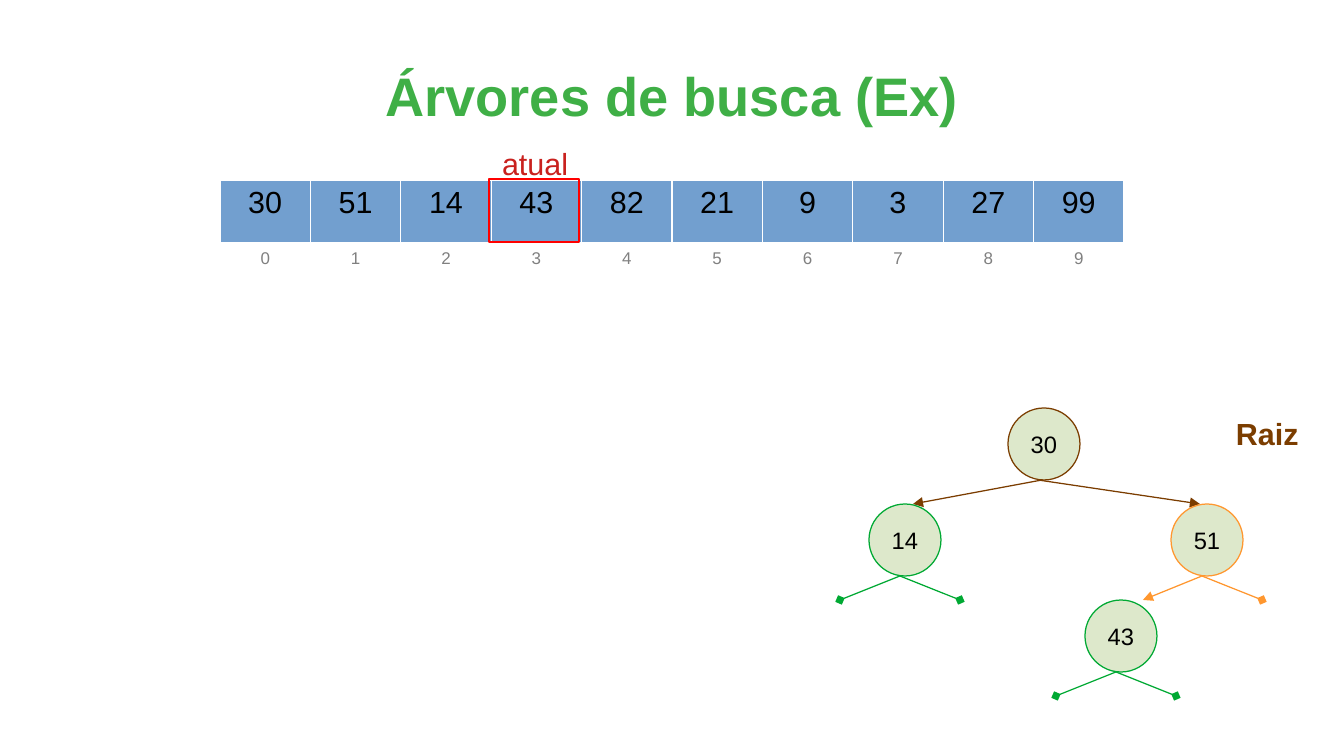
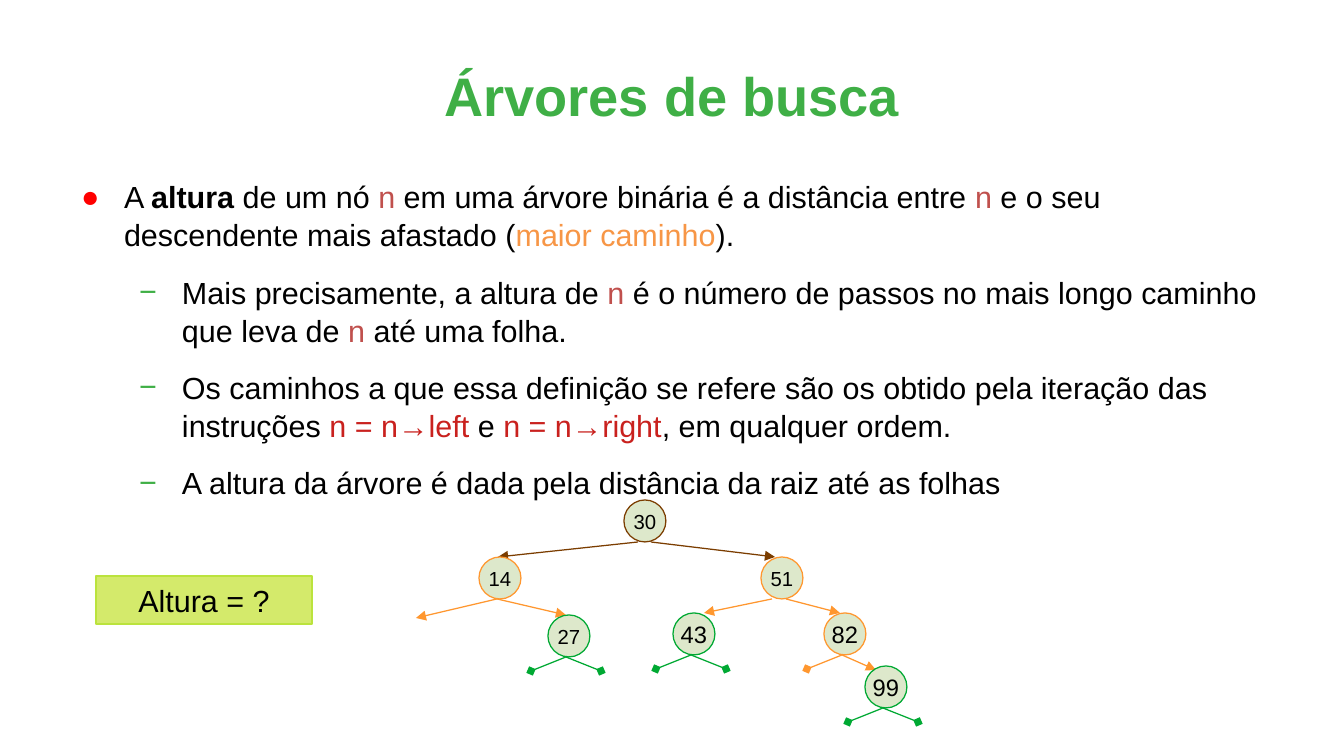
from dataclasses import dataclass

from lxml.etree import SubElement
from pptx import Presentation
from pptx.dml.color import RGBColor
from pptx.enum.shapes import MSO_CONNECTOR, MSO_SHAPE
from pptx.enum.text import MSO_ANCHOR, MSO_AUTO_SIZE, PP_ALIGN
from pptx.oxml.ns import qn
from pptx.util import Emu, Pt

PX_PER_INCH = 122
FONT = "Arial"
BLACK, WHITE, GREY = "000000", "FFFFFF", "808080"
TITLE_GREEN, NODE_FILL = "3FAF46", "DDE8CB"
BROWN, ORANGE, GREEN = "7B3D00", "FF972F", "00A933"
RED, CODE_RED, NODE_RED, PATH_ORANGE = "FF0000", "C9211E", "C0504D", "F79646"

VALUES = [30, 51, 14, 43, 82, 21, 9, 3, 27, 99]

# Each paragraph: level, then runs of (text, colour, bold)
HEIGHT_DEFINITION = [
    (0, [("A ", BLACK, False), ("altura", BLACK, True),
         (" de um nó ", BLACK, False), ("n", NODE_RED, False),
         (" em uma árvore binária é a distância entre ", BLACK, False),
         ("n ", NODE_RED, False),
         ("e o seu descendente mais afastado (", BLACK, False),
         ("maior caminho", PATH_ORANGE, False), (").", BLACK, False)]),
    (1, [("Mais precisamente, a altura de ", BLACK, False),
         ("n", NODE_RED, False),
         (" é o número de passos no mais longo caminho que leva de ", BLACK, False),
         ("n", NODE_RED, False), (" até uma folha.", BLACK, False)]),
    (1, [("Os caminhos a que essa definição se refere são os obtido pela "
          "iteração das instruções ", BLACK, False),
         ("n = n→left", CODE_RED, False), (" e ", BLACK, False),
         ("n = n→right", CODE_RED, False),
         (", em qualquer ordem.", BLACK, False)]),
    (1, [("A altura da árvore é dada pela distância da raiz até as folhas",
          BLACK, False)]),
]
# Each level: bullet, bullet colour, left margin, space before in points
LEVELS = [("●", RED, 57, 0), ("−", TITLE_GREEN, 115, 11.3)]
HANGING = 43


@dataclass
class Node:
    """A tree node; a side without an arrow tip ends in a short null stub."""
    label: str
    x: int
    y: int
    colour: str
    left: tuple = None
    right: tuple = None
    starts: tuple = (0, 0)
    size: int = 14


INSERTION_TREE = [
    Node("30", 1008, 408, BROWN, (913, 504), (1200, 504), (3, -1)),
    Node("51", 1171, 504, ORANGE, left=(1143, 600)),
    Node("14", 869, 504, GREEN),
    Node("43", 1085, 600, GREEN),
]
HEIGHT_TREE = [
    Node("30", 624, 500, BROWN, (498, 557), (775, 557), (-4, 9), 12),
    Node("51", 761, 557, ORANGE, (704, 613), (840, 613), (-7, 7), 12),
    Node("14", 479, 557, ORANGE, (416, 618), (566, 615), size=12),
    Node("43", 673, 613, GREEN),
    Node("82", 824, 613, ORANGE, right=(876, 670)),
    Node("27", 548, 615, GREEN, size=12),
    Node("99", 865, 666, GREEN),
]


def px(length):
    return Emu(round(length * 914400 / PX_PER_INCH))


def box(*lengths):
    return [px(length) for length in lengths]


def rgb(colour):
    return RGBColor.from_string(colour)


def style_font(font, size, colour, bold=False):
    font.name, font.size, font.bold = FONT, Pt(size), bold
    font.color.rgb = rgb(colour)


def set_frame(frame, anchor, side=0, top=0):
    """Fix the wrapping, anchor and insets of a text frame."""
    frame.auto_size = MSO_AUTO_SIZE.NONE
    frame.word_wrap = True
    frame.vertical_anchor = anchor
    frame.margin_left = frame.margin_right = px(side)
    frame.margin_top = frame.margin_bottom = px(top)


def write(frame, text, size, colour, align=PP_ALIGN.CENTER, bold=False):
    frame.text = text
    paragraph = frame.paragraphs[0]
    paragraph.alignment = align
    style_font(paragraph.runs[0].font, size, colour, bold)


def move(shape, x, y, width, height):
    shape.left, shape.top, shape.width, shape.height = box(x, y, width, height)


def add_slide(prs, layout, title):
    slide = prs.slides.add_slide(prs.slide_layouts[layout])
    heading = slide.shapes.title
    move(heading, 67, 31, 1210, 127)
    set_frame(heading.text_frame, MSO_ANCHOR.MIDDLE)
    write(heading.text_frame, title, 32, TITLE_GREEN, bold=True)
    return slide


def add_outline(slide, preset, bounds, line, fill=None, weight=0.75):
    shape = slide.shapes.add_shape(preset, *box(*bounds))
    shape.shadow.inherit = False
    if fill:
        shape.fill.solid()
        shape.fill.fore_color.rgb = rgb(fill)
    else:
        shape.fill.background()
    shape.line.color.rgb = rgb(line)
    shape.line.width = Pt(weight)
    return shape


def add_label(slide, text, bounds, colour, bold=False):
    label = slide.shapes.add_textbox(*box(*bounds))
    set_frame(label.text_frame, MSO_ANCHOR.TOP, 12, 6)
    write(label.text_frame, text, 18, colour, PP_ALIGN.LEFT, bold)


def add_branch(slide, start, end, colour, tip):
    branch = slide.shapes.add_connector(MSO_CONNECTOR.STRAIGHT, *box(*start, *end))
    branch.line.color.rgb = rgb(colour)
    branch.line.width = Pt(0.75)
    properties = branch.line._get_or_add_ln()
    SubElement(properties, qn("a:tailEnd"), type=tip)
    SubElement(properties.getparent(), qn("a:effectLst"))


def add_tree(slide, nodes, diameter):
    for node in nodes:
        circle = add_outline(slide, MSO_SHAPE.OVAL,
                             (node.x, node.y, diameter, diameter),
                             node.colour, NODE_FILL)
        set_frame(circle.text_frame, MSO_ANCHOR.MIDDLE)
        write(circle.text_frame, node.label, node.size, BLACK)
        fork = node.x + round(diameter * 0.43)
        bottom = node.y + diameter
        for side, target, shift in zip((-1, 1), (node.left, node.right), node.starts):
            stub = (fork + side * diameter * 5 // 6, bottom + diameter // 3)
            add_branch(slide, (fork + shift, bottom), target or stub, node.colour,
                       "triangle" if target else "diamond")


def style_cell(cell, text, size, colour, fill):
    properties = cell._tc.get_or_add_tcPr()
    for edge in ("lnL", "lnR", "lnT", "lnB"):
        border = SubElement(properties, qn(f"a:{edge}"), w=str(Pt(0.75)))
        paint = SubElement(border, qn("a:solidFill"))
        SubElement(paint, qn("a:srgbClr"), val=WHITE)
    cell.fill.solid()
    cell.fill.fore_color.rgb = rgb(fill)
    cell.margin_left = cell.margin_right = px(12)
    cell.margin_top = cell.margin_bottom = px(6)
    write(cell.text_frame, text, size, colour)


def add_vector(slide, values):
    """Draw the values as a table with their indices underneath."""
    table = slide.shapes.add_table(2, len(values), *box(220, 180, 904, 98)).table
    table.first_row = table.horz_banding = False
    for row, height in zip(table.rows, (63, 35)):
        row.height = px(height)
    for index, value in enumerate(values):
        table.columns[index].width = px(904) // len(values)
        style_cell(table.cell(0, index), str(value), 18, BLACK, "729FCF")
        style_cell(table.cell(1, index), str(index), 10, GREY, WHITE)


def set_bullet(paragraph, bullet, colour, margin):
    properties = paragraph._p.get_or_add_pPr()
    properties.set("marL", str(px(margin)))
    properties.set("indent", str(px(-HANGING)))
    bullet_colour = SubElement(properties, qn("a:buClr"))
    SubElement(bullet_colour, qn("a:srgbClr"), val=colour)
    SubElement(properties, qn("a:buFont"), typeface=FONT)
    SubElement(properties, qn("a:buChar"), char=bullet)


def fill_body(body, paragraphs):
    move(body, 67, 177, 1210, 525)
    frame = body.text_frame
    set_frame(frame, MSO_ANCHOR.TOP)
    for position, (level, runs) in enumerate(paragraphs):
        paragraph = frame.add_paragraph() if position else frame.paragraphs[0]
        bullet, bullet_colour, margin, space = LEVELS[level]
        paragraph.level = level
        paragraph.alignment = PP_ALIGN.LEFT
        paragraph.line_spacing = 1.04
        paragraph.space_before = Pt(space)
        set_bullet(paragraph, bullet, bullet_colour, margin)
        for text, colour, bold in runs:
            run = paragraph.add_run()
            run.text = text
            style_font(run.font, 18, colour, bold)


def build_insertion_slide(prs):
    slide = add_slide(prs, 5, "Árvores de busca (Ex)")
    add_vector(slide, VALUES)
    add_outline(slide, MSO_SHAPE.RECTANGLE, (489, 179, 90, 63), RED, weight=1.5)
    add_label(slide, "atual", (490, 139, 96, 48), CODE_RED)
    add_label(slide, "Raiz", (1224, 409, 120, 46), BROWN, bold=True)
    add_tree(slide, INSERTION_TREE, 72)


def build_height_slide(prs):
    slide = add_slide(prs, 1, "Árvores de busca")
    fill_body(slide.placeholders[1], HEIGHT_DEFINITION)
    add_tree(slide, HEIGHT_TREE, 42)
    question = add_outline(slide, MSO_SHAPE.RECTANGLE, (96, 576, 216, 48),
                           "BBE33D", "D4EA6B")
    set_frame(question.text_frame, MSO_ANCHOR.MIDDLE, 12, 6)
    write(question.text_frame, "Altura = ?", 18, BLACK)


def main():
    prs = Presentation()
    prs.slide_width, prs.slide_height = box(1344, 756)
    build_insertion_slide(prs)
    build_height_slide(prs)
    prs.save("out.pptx")


if __name__ == "__main__":
    main()
